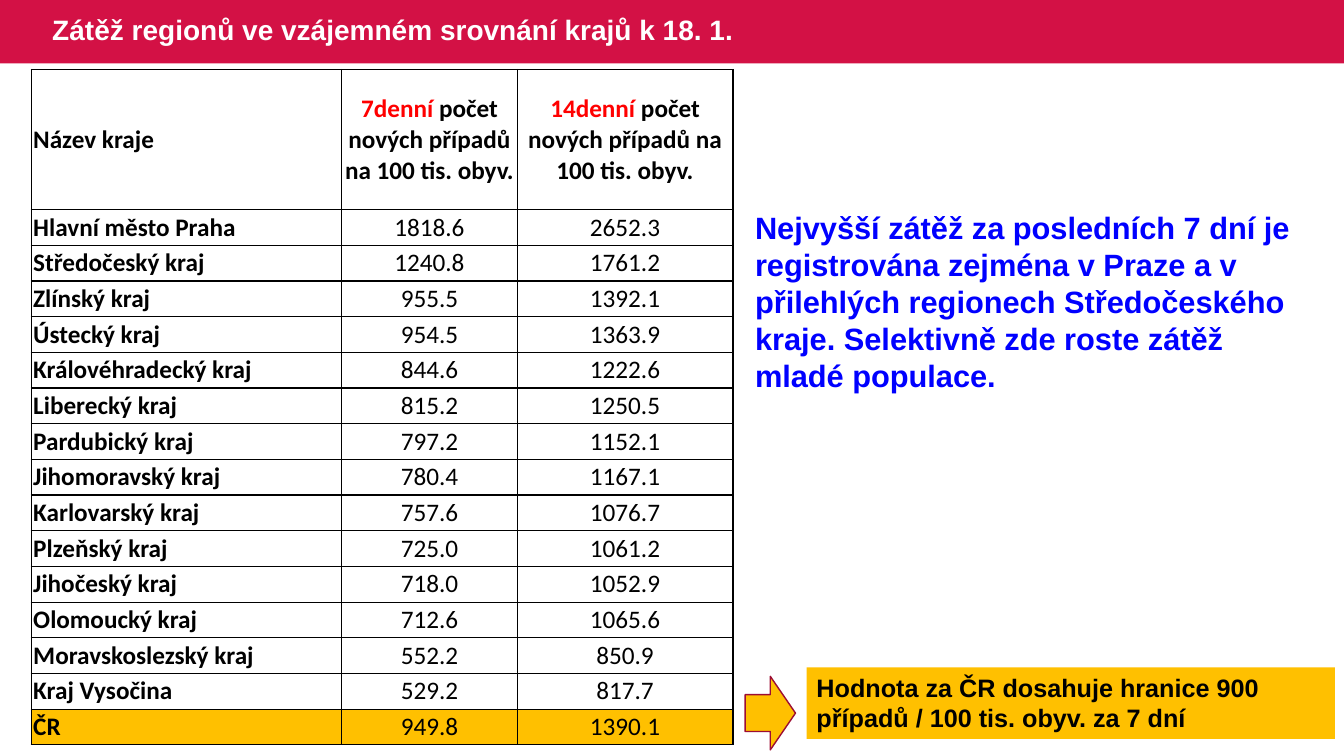
from dataclasses import dataclass

from lxml import etree
from pptx import Presentation
from pptx.dml.color import RGBColor
from pptx.enum.shapes import MSO_SHAPE as Preset
from pptx.enum.text import MSO_ANCHOR as Anchor, PP_ALIGN as Align
from pptx.oxml.ns import qn
from pptx.util import Inches, Pt

CRIMSON, DARK_RED, AMBER = "D31145", "9C0D33", "FFC000"
WHITE, BLACK, RED, BLUE = "FFFFFF", "000000", "FF0000", "0000FF"


@dataclass(frozen=True)
class Box:
    left: float
    top: float
    width: float
    height: float

    def lengths(self) -> list:
        return [Inches(n) for n in (self.left, self.top, self.width, self.height)]


@dataclass(frozen=True)
class Run:
    text: str
    size: float
    color: str
    bold: bool = True
    font: str = "Arial"


@dataclass(frozen=True)
class Block:
    box: Box
    fill: str
    preset: Preset = Preset.RECTANGLE
    line: str = ""


@dataclass(frozen=True)
class Label:
    box: Box
    run: Run
    anchor: Anchor = Anchor.TOP
    spacing: float = 1.0


@dataclass(frozen=True)
class Region:
    name: str
    week: str
    fortnight: str
    fill: str = WHITE


BLOCKS = [
    Block(Box(0, 0, 13.33, 0.63), CRIMSON),
    Block(Box(8, 6.62, 5.24, 0.71), AMBER),
    Block(Box(7.39, 6.71, 0.5, 0.73), AMBER, Preset.RIGHT_ARROW, DARK_RED),
]

LABELS = [
    Label(Box(0.42, 0, 8.13, 0.63),
          Run("Zátěž regionů ve vzájemném srovnání krajů k 18. 1.", 20, WHITE),
          Anchor.MIDDLE, 0.9),
    Label(Box(7.39, 2.02, 5.62, 2.34),
          Run("Nejvyšší zátěž za posledních 7 dní je registrována zejména v Praze "
              "a v přilehlých regionech Středočeského kraje. Selektivně zde roste "
              "zátěž mladé populace.", 22, BLUE)),
    Label(Box(8, 6.62, 5.24, 0.71),
          Run("Hodnota za ČR dosahuje hranice 900 případů / 100 tis. obyv. za 7 dní",
              18, BLACK)),
]

TABLE_BOX = Box(0.31, 0.69, 6.96, 6.7)
COLUMN_WIDTHS = [3.08, 1.74, 2.14]
HEADER_HEIGHT = 1.39
CELL_MARGIN = 0.02
PERIODS = ["7denní", "14denní"]

REGIONS = [
    Region("Hlavní město Praha", "1818.6", "2652.3"),
    Region("Středočeský kraj", "1240.8", "1761.2"),
    Region("Zlínský kraj", "955.5", "1392.1"),
    Region("Ústecký kraj", "954.5", "1363.9"),
    Region("Královéhradecký kraj", "844.6", "1222.6"),
    Region("Liberecký kraj", "815.2", "1250.5"),
    Region("Pardubický kraj", "797.2", "1152.1"),
    Region("Jihomoravský kraj", "780.4", "1167.1"),
    Region("Karlovarský kraj", "757.6", "1076.7"),
    Region("Plzeňský kraj", "725.0", "1061.2"),
    Region("Jihočeský kraj", "718.0", "1052.9"),
    Region("Olomoucký kraj", "712.6", "1065.6"),
    Region("Moravskoslezský kraj", "552.2", "850.9"),
    Region("Kraj Vysočina", "529.2", "817.7"),
    Region("ČR", "949.8", "1390.1", AMBER),
]


def paint(color_format, color: str) -> None:
    color_format.rgb = RGBColor.from_string(color)


def paint_fill(fill, color: str) -> None:
    fill.solid()
    paint(fill.fore_color, color)


def add_run(paragraph, run: Run) -> None:
    piece = paragraph.add_run()
    piece.text = run.text
    piece.font.name = run.font
    piece.font.size = Pt(run.size)
    piece.font.bold = run.bold
    paint(piece.font.color, run.color)


def add_block(slide, block: Block) -> None:
    shape = slide.shapes.add_shape(block.preset, *block.box.lengths())
    shape.shadow.inherit = False
    paint_fill(shape.fill, block.fill)
    if block.line:
        paint(shape.line.color, block.line)
        shape.line.width = Pt(1)
    else:
        shape.line.fill.background()


def add_label(slide, label: Label) -> None:
    frame = slide.shapes.add_textbox(*label.box.lengths()).text_frame
    frame.word_wrap = True
    frame.vertical_anchor = label.anchor
    paragraph = frame.paragraphs[0]
    paragraph.line_spacing = label.spacing
    add_run(paragraph, label.run)


def add_borders(cell, color: str) -> None:
    properties = cell._tc.get_or_add_tcPr()
    for position, side in enumerate(("a:lnL", "a:lnR", "a:lnT", "a:lnB")):
        line = etree.Element(qn(side), w=str(Pt(1)))
        fill = etree.SubElement(line, qn("a:solidFill"))
        etree.SubElement(fill, qn("a:srgbClr"), val=color)
        properties.insert(position, line)


def fill_cell(cell, runs: list[Run], fill: str, align: Align) -> None:
    paint_fill(cell.fill, fill)
    add_borders(cell, BLACK)
    cell.vertical_anchor = Anchor.MIDDLE
    cell.margin_left = cell.margin_right = Inches(CELL_MARGIN)
    cell.margin_top = cell.margin_bottom = Inches(CELL_MARGIN)
    paragraph = cell.text_frame.paragraphs[0]
    paragraph.alignment = align
    for run in runs:
        add_run(paragraph, run)


def cell_run(text: str, color: str = BLACK, bold: bool = True) -> Run:
    return Run(text, 18, color, bold, "Calibri")


def add_region_table(slide) -> None:
    table = slide.shapes.add_table(
        len(REGIONS) + 1, len(COLUMN_WIDTHS), *TABLE_BOX.lengths()).table
    for column, width in zip(table.columns, COLUMN_WIDTHS):
        column.width = Inches(width)
    row_height = (TABLE_BOX.height - HEADER_HEIGHT) / len(REGIONS)
    for index, row in enumerate(table.rows):
        row.height = Inches(row_height if index else HEADER_HEIGHT)

    fill_cell(table.cell(0, 0), [cell_run("Název kraje")], WHITE, Align.LEFT)
    for column, period in enumerate(PERIODS, 1):
        heading = [cell_run(period, RED),
                   cell_run(" počet nových případů na 100 tis. obyv.")]
        fill_cell(table.cell(0, column), heading, WHITE, Align.CENTER)
    for row, region in enumerate(REGIONS, 1):
        fill_cell(table.cell(row, 0), [cell_run(region.name)], region.fill, Align.LEFT)
        for column, value in enumerate((region.week, region.fortnight), 1):
            fill_cell(table.cell(row, column), [cell_run(value, bold=False)],
                      region.fill, Align.CENTER)


def main() -> None:
    presentation = Presentation()
    presentation.slide_width = Inches(13.33)
    presentation.slide_height = Inches(7.5)
    slide = presentation.slides.add_slide(presentation.slide_layouts[6])
    for block in BLOCKS:
        add_block(slide, block)
    for label in LABELS:
        add_label(slide, label)
    add_region_table(slide)
    presentation.save("out.pptx")


if __name__ == "__main__":
    main()
